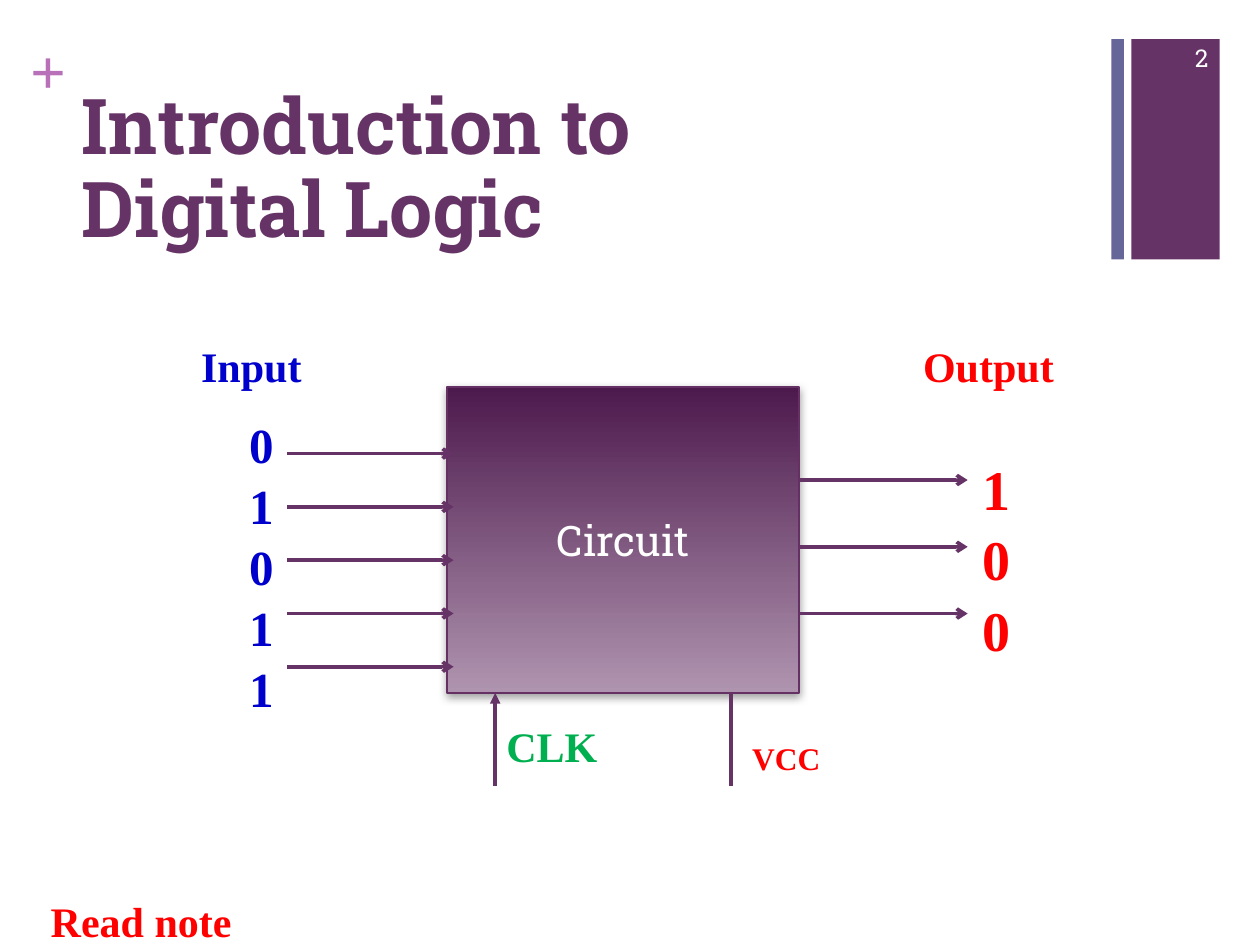
from lxml import etree
from pptx import Presentation
from pptx import util as u
from pptx.dml.color import RGBColor
from pptx.enum import shapes, text
from pptx.oxml.ns import qn

COLORS = {
    "plum": "663366", "orchid": "B870B8", "slate": "666699",
    "box_top": "4D1A4D", "box_bottom": "AF94AF", "box_line": "653165",
    "shadow": "808080", "white": "FFFFFF",
    "blue": "0000CC", "red": "FF0000", "green": "00B050",
}
SLAB, SERIF = "Roboto Slab", "Times New Roman"
LEFT, CENTER, RIGHT = text.PP_ALIGN.LEFT, text.PP_ALIGN.CENTER, text.PP_ALIGN.RIGHT
TOP, MIDDLE = text.MSO_ANCHOR.TOP, text.MSO_ANCHOR.MIDDLE


def color(name):
    return RGBColor.from_string(COLORS[name])


def inches(*lengths):
    return [u.Inches(length) for length in lengths]


def write(shape, lines, size, color_name, font=SERIF, bold=True,
          align=CENTER, anchor=TOP, spacing=None):
    """Fill a shape with one paragraph per line, all in one style."""
    frame = shape.text_frame
    frame.word_wrap = True
    frame.vertical_anchor = anchor
    frame.text = "\n".join(lines)
    for paragraph in frame.paragraphs:
        paragraph.alignment = align
        paragraph.line_spacing = spacing
        paragraph.font.name = font
        paragraph.font.size = u.Pt(size)
        paragraph.font.bold = bold
        paragraph.font.color.rgb = color(color_name)
    return frame


def add_text(slide, box, lines, size, color_name, **style):
    return write(slide.shapes.add_textbox(*inches(*box)), lines, size, color_name, **style)


def add_bar(slide, box, color_name):
    bar = slide.shapes.add_shape(shapes.MSO_SHAPE.RECTANGLE, *inches(*box))
    bar.shadow.inherit = False
    bar.fill.solid()
    bar.fill.fore_color.rgb = color(color_name)
    bar.line.fill.background()


def add_wire(slide, start, end, **arrowheads):
    """Draw a wire; arrowheads maps headEnd or tailEnd to an arrow type."""
    wire = slide.shapes.add_connector(
        shapes.MSO_CONNECTOR.STRAIGHT, *inches(*start, *end))
    wire.line.color.rgb = color("plum")
    wire.line.width = u.Pt(2)
    properties = wire._element.spPr
    for tag, kind in arrowheads.items():
        etree.SubElement(properties.find(qn("a:ln")), qn(f"a:{tag}"), type=kind)
    etree.SubElement(properties, qn("a:effectLst"))


def add_soft_shadow(shape):
    shape.shadow.inherit = False
    effects = shape._element.spPr.find(qn("a:effectLst"))
    shadow = etree.SubElement(
        effects, qn("a:outerShdw"), blurRad=str(u.Pt(5)), dist=str(u.Pt(2)),
        dir="5400000", rotWithShape="0")
    shade = etree.SubElement(shadow, qn("a:srgbClr"), val=COLORS["shadow"])
    etree.SubElement(shade, qn("a:alpha"), val="75000")


def add_header(slide, left, top):
    # Plus sign and title
    plus = add_text(slide, (left + 0.24, top, 0.29, 0.61), ["+"], 36, "orchid", align=LEFT)
    plus.margin_left = plus.margin_right = plus.margin_top = plus.margin_bottom = 0
    add_text(slide, (left + 0.55, top + 0.28, 8.26, 1.65),
             ["Introduction to\vDigital Logic"], 44, "plum",
             font=SLAB, align=LEFT, anchor=MIDDLE, spacing=0.9)
    # Side bars and slide number
    add_bar(slide, (left + 8.98, top + 0.06, 0.7, 1.75), "plum")
    add_bar(slide, (left + 8.82, top + 0.06, 0.1, 1.75), "slate")
    add_text(slide, (left + 9.08, top + 0.01, 0.61, 0.4), ["2"], 14, "white",
             font=SLAB, bold=False, align=RIGHT, anchor=MIDDLE)


def add_circuit(slide, left, top, width, height):
    right, bottom = left + width, top + height

    # Circuit block
    block = slide.shapes.add_shape(
        shapes.MSO_SHAPE.RECTANGLE, *inches(left, top, width, height))
    block.fill.gradient()
    block.fill.gradient_angle = 270
    for stop, name in zip(block.fill.gradient_stops, ("box_top", "box_bottom")):
        stop.color.rgb = color(name)
    block.line.color.rgb = color("box_line")
    block.line.width = u.Pt(1)
    add_soft_shadow(block)
    write(block, ["Circuit"], 24, "white", font=SLAB, bold=False, anchor=MIDDLE)

    # Input and output wires: first, gap, values, start and end
    wire_sets = (
        (0.53, 0.423, "01011", left - 1.27, left + 0.05),
        (0.74, 0.53, "100", right + 0.01, right + 1.34),
    )
    for first, gap, values, start, end in wire_sets:
        for index in range(len(values)):
            y = top + first + index * gap
            add_wire(slide, (start, y), (end, y), tailEnd="arrow")

    # Input and output values with their headings
    add_text(slide, (left - 2.05, top + 0.15, 0.77, 2.46), "01011", 28, "blue",
             align=RIGHT, spacing=1.04)
    add_text(slide, (right + 1.01, top + 0.46, 0.77, 1.72), "100", 32, "red",
             align=RIGHT, spacing=1.05)
    add_text(slide, (left - 2.49, top - 0.42, 1.87, 0.5), ["Input"], 24, "blue")
    add_text(slide, (right + 0.57, top - 0.42, 1.87, 0.5), ["Output"], 24, "red")

    # Clock and power
    clock_x, power_x = left + 0.38, left + 2.25
    add_wire(slide, (clock_x, bottom), (clock_x, bottom + 0.74), headEnd="triangle")
    add_wire(slide, (power_x, bottom), (power_x, bottom + 0.74))
    add_text(slide, (left + 2.14, bottom + 0.32, 1.1, 0.4), ["VCC"], 18, "red")
    add_text(slide, (left + 0.06, bottom + 0.17, 1.54, 0.5), ["CLK"], 24, "green")


def main():
    presentation = Presentation()
    presentation.slide_width, presentation.slide_height = inches(10, 7.5)
    slide = presentation.slides.add_slide(presentation.slide_layouts[6])
    add_header(slide, 0, 0.25)
    add_circuit(slide, 3.55, 3.07, 2.79, 2.43)
    # Footer remark
    add_text(slide, (0, 7.06, 2.24, 0.5), ["Read note"], 24, "red")
    presentation.save("out.pptx")


if __name__ == "__main__":
    main()
